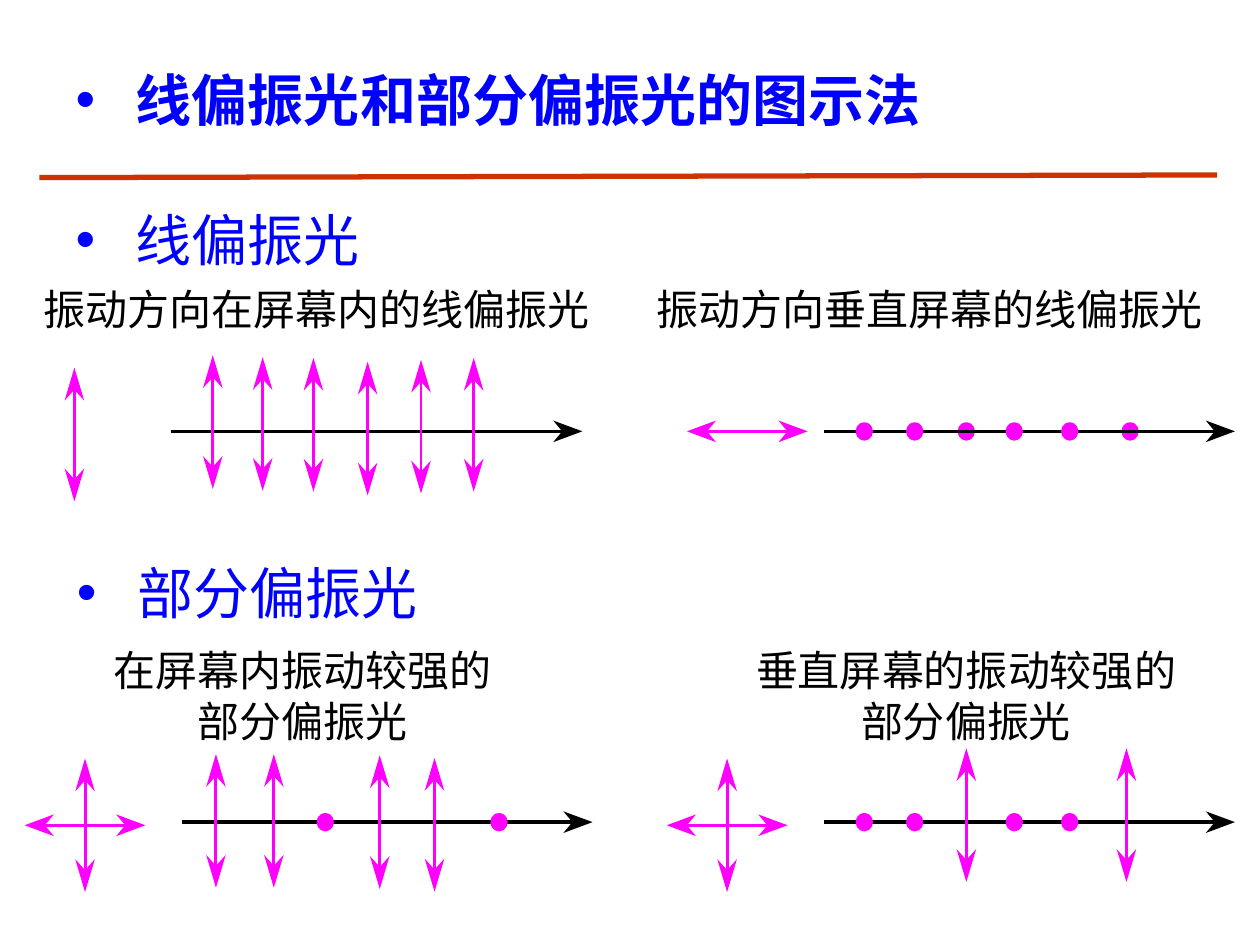
from lxml.etree import SubElement
from pptx import Presentation
from pptx.dml.color import RGBColor
from pptx.enum.shapes import MSO_CONNECTOR as CONNECTOR, MSO_SHAPE as SHAPE
from pptx.enum.text import MSO_ANCHOR as ANCHOR, PP_ALIGN as ALIGN
from pptx.oxml.ns import qn
from pptx.util import Pt

BLUE = RGBColor(0x00, 0x00, 0xFF)
BLACK = RGBColor(0x00, 0x00, 0x00)
MAGENTA = RGBColor(0xFF, 0x00, 0xFF)
RUST = RGBColor(0xCC, 0x33, 0x00)
FONT = "Noto Sans CJK SC"

# Arrowhead length, half width and distance from tip to notch
FLAT_HEAD = (16.7, 6.2, 11.5)
UPRIGHT_HEAD = (18.8, 5.6, 12.6)
FLAT_LENGTH, UPRIGHT_LENGTH, AXIS_LENGTH = 69, 76.4, 234.8
DOT_WIDTH, DOT_HEIGHT = 7.2, 7.9


def format_paragraph(paragraph, size, color, bold=False):
    paragraph.space_before = Pt(0)
    paragraph.line_spacing = Pt(size * 1.2)
    values = {"size": Pt(size), "name": FONT, "bold": bold}
    for run in paragraph.runs:
        for name, value in values.items():
            setattr(run.font, name, value)
        run.font.color.rgb = color
        SubElement(run.font._element, qn("a:ea"), typeface=FONT)


def heading(placeholder, box, text, bold=False):
    left, top, width, height = map(Pt, box)
    for name, value in dict(left=left, top=top, width=width, height=height).items():
        setattr(placeholder, name, value)
    frame = placeholder.text_frame
    frame.text = text
    frame.vertical_anchor = ANCHOR.TOP
    paragraph = frame.paragraphs[0]
    paragraph.alignment = ALIGN.LEFT
    format_paragraph(paragraph, 32, BLUE, bold)
    # Blue bullet with a hanging indent
    properties = paragraph._p.get_or_add_pPr()
    properties.set("marL", str(Pt(34.5)))
    properties.set("indent", str(-Pt(34.5)))
    bullet_color = SubElement(properties, qn("a:buClr"))
    SubElement(bullet_color, qn("a:srgbClr"), val=str(BLUE))
    SubElement(properties, qn("a:buFont"), typeface="Arial")
    SubElement(properties, qn("a:buChar"), char="•")


def caption(slide, center, top, lines):
    width = 24 * max(map(len, lines))
    box = slide.shapes.add_textbox(Pt(center - width / 2), Pt(top), Pt(width), Pt(28.8 * len(lines)))
    frame = box.text_frame
    frame.word_wrap = False
    for side in ("left", "top", "right", "bottom"):
        setattr(frame, f"margin_{side}", 0)
    frame.text = "\n".join(lines)
    for paragraph in frame.paragraphs:
        paragraph.alignment = ALIGN.CENTER
        format_paragraph(paragraph, 24, BLACK)


def rule(shapes, start, end, color, weight):
    line = shapes.add_connector(CONNECTOR.STRAIGHT, *map(Pt, start + end))
    line.line.color.rgb = color
    line.line.width = Pt(weight)
    SubElement(line._element.spPr, qn("a:effectLst"))


def paint(shape, color):
    shape.shadow.inherit = False
    shape.fill.solid()
    shape.fill.fore_color.rgb = color


def arrowhead(shapes, tip, direction, size, color):
    (x, y), (dx, dy) = tip, direction
    length, half, notch = size

    def point(back, side):
        return Pt(x - dx * back - dy * side), Pt(y - dy * back + dx * side)

    builder = shapes.build_freeform(*point(0, 0))
    builder.add_line_segments([point(length, half), point(notch, 0), point(length, -half)])
    head = builder.convert_to_shape()
    paint(head, color)
    head.line.fill.background()


def flat_arrow(shapes, x, y):
    half = FLAT_LENGTH / 2
    shaft = half - FLAT_HEAD[2]
    rule(shapes, (x - shaft, y), (x + shaft, y), MAGENTA, 1.8)
    for sign in (-1, 1):
        arrowhead(shapes, (x + sign * half, y), (sign, 0), FLAT_HEAD, MAGENTA)


def upright_arrow(shapes, x, y):
    half = UPRIGHT_LENGTH / 2
    shaft = half - UPRIGHT_HEAD[2]
    rule(shapes, (x, y - shaft), (x, y + shaft), MAGENTA, 1.7)
    for sign in (-1, 1):
        arrowhead(shapes, (x, y + sign * half), (0, sign), UPRIGHT_HEAD, MAGENTA)


def dot(shapes, x, y):
    ellipse = shapes.add_shape(SHAPE.OVAL, Pt(x - DOT_WIDTH / 2), Pt(y - DOT_HEIGHT / 2),
                               Pt(DOT_WIDTH), Pt(DOT_HEIGHT))
    paint(ellipse, MAGENTA)
    ellipse.line.color.rgb = MAGENTA
    ellipse.line.width = Pt(2.64)


def ray_panel(slide, origin, lines, center, symbol, axis, marks, behind=()):
    """Caption, vibration symbol and ray; all offsets count from origin."""
    left, top = origin
    caption(slide, left + center, top, lines)
    shapes = slide.shapes.add_group_shape().shapes
    start, y = left + axis[0], top + axis[1]

    def place(group):
        for draw, x, dy in group:
            draw(shapes, start + x, y + dy)

    place(behind)
    # Ray
    end = start + AXIS_LENGTH
    rule(shapes, (start, y), (end - FLAT_HEAD[2], y), BLACK, 2)
    arrowhead(shapes, (end, y), (1, 0), FLAT_HEAD, BLACK)
    place(marks)
    # Vibration symbol
    arrows, x, dy = symbol
    for draw in arrows:
        draw(shapes, left + x, y + dy)


def dots(*xs):
    return [(dot, x, 0) for x in xs]


def waves(*places):
    return [(upright_arrow, x, dy) for x, dy in places]


def main():
    presentation = Presentation()
    presentation.slide_width, presentation.slide_height = Pt(720), Pt(540)
    slide = presentation.slides.add_slide(presentation.slide_layouts[3])
    title, linear, partial = slide.placeholders

    # Headings and the rule under the title
    heading(title, (36, 34, 546, 62.6), "线偏振光和部分偏振光的图示法", bold=True)
    heading(linear, (36, 114, 247, 62.6), "线偏振光")
    heading(partial, (36.7, 315.5, 247, 62.6), "部分偏振光")
    rule(slide.shapes, (22.5, 101.5), (695.5, 100), RUST, 3)

    left, right, upper, lower = 14, 375, 162, 368.6
    cross = (upright_arrow, flat_arrow)

    # Linearly polarised light
    ray_panel(slide, (left, upper), ["振动方向在屏幕内的线偏振光"], 167,
              ((upright_arrow,), 28.5, 1.8), (84, 84.5),
              waves((23.6, -5.3), (52.1, -4.2), (81.1, -3.8),
                    (112.1, -1.6), (142.6, -2.7), (172.7, -3.8)))
    ray_panel(slide, (right, upper), ["振动方向垂直屏幕的线偏振光"], 156,
              ((flat_arrow,), 52, 0), (95.9, 84.5),
              dots(23, 51.8, 108.7, 140.4), behind=dots(81.3, 174.9))

    # Partially polarised light
    ray_panel(slide, (left, lower), ["在屏幕内振动较强的", "部分偏振光"], 158.8,
              (cross, 34.6, 1.8), (89.8, 101.2),
              dots(82.1, 181.4) + waves((19.6, -0.7), (52.7, -0.7), (113.2, 0), (144.5, 1.5)))
    ray_panel(slide, (right, lower), ["垂直屏幕的振动较强的", "部分偏振光"], 177,
              (cross, 40.5, 1.8), (95.9, 101.2),
              dots(23, 51.8, 108.7, 140.4) + waves((81.3, -4), (172.8, -4)))

    presentation.save("out.pptx")


if __name__ == "__main__":
    main()
